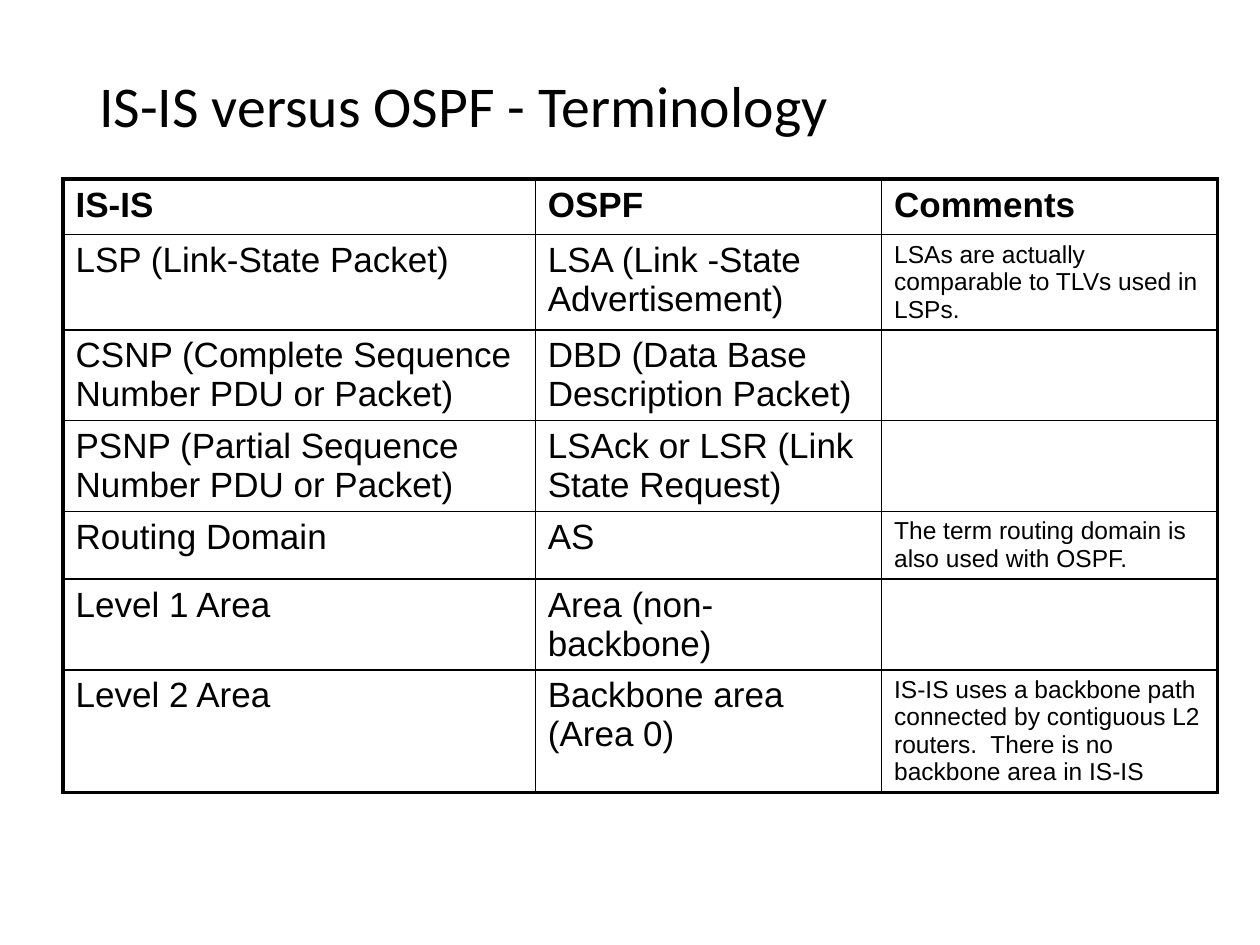
from lxml import etree
from pptx import Presentation
from pptx import util as u
from pptx.dml.color import RGBColor
from pptx.enum import text as t
from pptx.oxml.ns import qn

INK = "000000"
THIN, THICK = 1, 2.25
ROWS = [
    ("IS-IS", "OSPF", "Comments"),
    ("LSP (Link-State Packet)", "LSA (Link -State Advertisement)",
     "LSAs are actually comparable to TLVs used in LSPs."),
    ("CSNP (Complete Sequence Number PDU or Packet)",
     "DBD (Data Base Description Packet)", ""),
    ("PSNP (Partial Sequence Number PDU or Packet)",
     "LSAck or LSR (Link State Request)", ""),
    ("Routing Domain", "AS", "The term routing domain is also used with OSPF."),
    ("Level 1 Area", "Area (non-backbone)", ""),
    ("Level 2 Area", "Backbone area (Area 0)",
     "IS-IS uses a backbone path connected by contiguous L2 routers.  "
     "There is no backbone area in IS-IS"),
]


def paint(target, shade):
    """Give a font or fill colour a hex value."""
    target.rgb = RGBColor.from_string(shade)


def write(frame, words, size=20, font="Arial", bold=False, shade=INK):
    """Put formatted words in a text frame and return the paragraph."""
    para = frame.paragraphs[0]
    run = para.add_run()
    run.text = words
    run.font.size = u.Pt(size)
    run.font.name = font
    run.font.bold = bold
    paint(run.font.color, shade)
    return para


def space(para, share):
    """Set the space before a paragraph as a percentage of its line."""
    gap = etree.SubElement(para._p.get_or_add_pPr(), qn("a:spcBef"))
    etree.SubElement(gap, qn("a:spcPct"), val=str(share * 1000))


def edge(cell, side, width, shade=INK):
    """Draw one border of a cell."""
    line = etree.SubElement(cell._tc.get_or_add_tcPr(), qn(f"a:ln{side}"),
                            w=str(u.Pt(width)))
    fill = etree.SubElement(line, qn("a:solidFill"))
    etree.SubElement(fill, qn("a:srgbClr"), val=shade)


def title(slide, box, words):
    """Place and fill the slide title."""
    shape = slide.shapes.title
    shape.left, shape.top, shape.width, shape.height = box
    frame = shape.text_frame
    frame.word_wrap = True
    frame.vertical_anchor = t.MSO_ANCHOR.MIDDLE
    para = write(frame, words, size=33, font="Calibri")
    para.alignment = t.PP_ALIGN.LEFT
    para.line_spacing = 0.9


def terms(slide, box, rows, shares):
    """Build the table of terms with a thick frame and thin inner lines."""
    left, top, width, height = box
    grid = slide.shapes.add_table(len(rows), len(shares), *box).table
    grid.first_row = grid.horz_banding = False
    for col, share in zip(grid.columns, shares):
        col.width = int(width * share / sum(shares))
    last, end = len(rows) - 1, len(shares) - 1
    for r, row in enumerate(rows):
        for c, words in enumerate(row):
            cell = grid.cell(r, c)
            outer = {"L": c == 0, "R": c == end, "T": r == 0, "B": r == last}
            for side, rim in outer.items():
                edge(cell, side, THICK if rim else THIN)
            cell.fill.background()
            if words:
                note = c == end and r > 0
                para = write(cell.text_frame, words, size=14 if note else 20,
                             bold=r == 0)
                space(para, 20)


def main():
    """Build and save the slide."""
    deck = Presentation()
    deck.slide_width, deck.slide_height = u.Cm(25.4), u.Cm(19.05)
    slide = deck.slides.add_slide(deck.slide_layouts[5])
    title(slide, (u.Cm(1.75), u.Cm(1.02), u.Cm(21.9), u.Cm(2.36)),
          "IS-IS versus OSPF - Terminology")
    terms(slide, (u.Cm(1.27), u.Cm(3.61), u.Cm(23.28), u.Cm(7.84)),
          ROWS, (3.75, 2.75, 2.67))
    deck.save("out.pptx")


if __name__ == "__main__":
    main()
